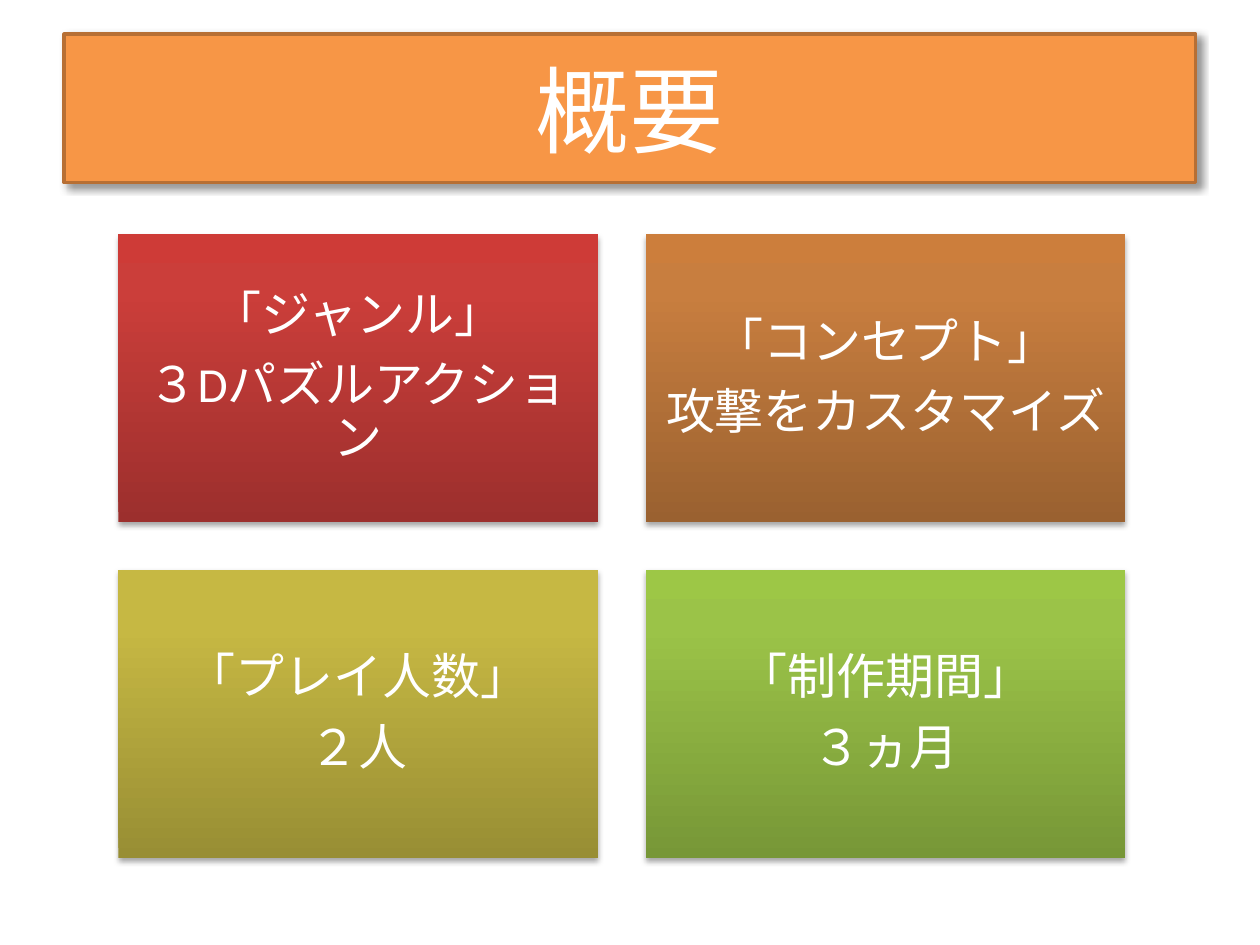
from dataclasses import dataclass

from lxml import etree
from pptx import Presentation
from pptx.dml.color import RGBColor
from pptx.enum import shapes, text
from pptx.oxml import parse_xml
from pptx.oxml.ns import nsdecls, qn
from pptx.util import Inches, Pt


@dataclass(frozen=True)
class Theme:
    """Colours, fonts and type sizes of the slide."""
    white: str = "FFFFFF"
    shadow: str = "000000"
    title_fill: str = "F79646"
    title_line: str = "B76F34"
    red: tuple = ("9C2F2D", "CB3E3A", "CE3B37")
    orange: tuple = ("9A6130", "C87E3F", "CC7E3C")
    yellow: tuple = ("988E34", "C6B843", "C9BB41")
    green: tuple = ("779737", "9BC348", "9DC746")
    latin: str = "Calibri"
    asian: str = "Noto Sans CJK JP"
    title_size: int = 54
    card_size: int = 28


THEME = Theme()
CARDS = [
    (THEME.red, ("「ジャンル」", "３Dパズルアクション")),
    (THEME.orange, ("「コンセプト」", "攻撃をカスタマイズ")),
    (THEME.yellow, ("「プレイ人数」", "２人")),
    (THEME.green, ("「制作期間」", "３ヵ月")),
]


def set_values(obj, values):
    """Set each named attribute on an object."""
    for name, value in values.items():
        setattr(obj, name, value)


def add_shadow(sp, alpha, blur, dist, angle):
    """Give a shape an outer shadow, in percent, points and degrees."""
    sp.shadow.inherit = False
    effects = sp._element.spPr.find(qn("a:effectLst"))
    effects.append(parse_xml(
        f'<a:outerShdw {nsdecls("a")} blurRad="{Pt(blur)}" dist="{Pt(dist)}" '
        f'dir="{angle * 60000}" algn="ctr" rotWithShape="0">'
        f'<a:srgbClr val="{THEME.shadow}"><a:alpha val="{alpha * 1000}"/></a:srgbClr>'
        '</a:outerShdw>'))


def set_gradient(sp, colors):
    """Fill a shape with a three-stop gradient that runs upward."""
    sp.fill.gradient()
    sp.fill.gradient_angle = 90
    stops = sp._element.spPr.find(qn("a:gradFill")).find(qn("a:gsLst"))
    for stop in list(stops):
        stops.remove(stop)
    for pos, color in zip((0, 80, 100), colors):
        stop = etree.SubElement(stops, qn("a:gs"), pos=str(pos * 1000))
        etree.SubElement(stop, qn("a:srgbClr"), val=color)


def write_lines(sp, lines, size, latin, spacing):
    """Write centred white paragraphs into a shape."""
    tf = sp.text_frame
    set_values(tf, {"word_wrap": True, "auto_size": text.MSO_AUTO_SIZE.NONE,
                    "vertical_anchor": text.MSO_ANCHOR.MIDDLE})
    for i, line in enumerate(lines):
        p = tf.add_paragraph() if i else tf.paragraphs[0]
        set_values(p, {"alignment": text.PP_ALIGN.CENTER, **spacing})
        r = p.add_run()
        r.text = line
        set_values(r.font, {"size": Pt(size), "name": latin})
        r.font.color.rgb = RGBColor.from_string(THEME.white)
        r.font._element.find(qn("a:latin")).addnext(
            parse_xml(f'<a:ea {nsdecls("a")} typeface="{THEME.asian}"/>'))


def format_title(sp, title, left, top, width, height):
    """Turn the title placeholder into a rounded banner."""
    set_values(sp, {"left": left, "top": top, "width": width, "height": height})
    sp._element.spPr.append(parse_xml(
        f'<a:prstGeom {nsdecls("a")} prst="roundRect"><a:avLst/></a:prstGeom>'))
    sp.fill.solid()
    sp.fill.fore_color.rgb = RGBColor.from_string(THEME.title_fill)
    sp.line.color.rgb = RGBColor.from_string(THEME.title_line)
    sp.line.width = Pt(2)
    add_shadow(sp, 40, 4, 3, 45)
    write_lines(sp, [title], THEME.title_size, THEME.asian, {})


def add_card(s, colors, lines, left, top, width, height):
    """Add one gradient card with its heading and value."""
    sp = s.shapes.add_shape(shapes.MSO_SHAPE.RECTANGLE, left, top, width, height)
    set_gradient(sp, colors)
    sp.line.fill.background()
    add_shadow(sp, 35, 3.1, 1.8, 90)
    sides = ("left", "top", "right", "bottom")
    set_values(sp.text_frame, {f"margin_{side}": Inches(0.12) for side in sides})
    write_lines(sp, lines, THEME.card_size, THEME.latin,
                {"line_spacing": 0.9, "space_after": Pt(0.35 * THEME.card_size)})


def add_card_grid(s, cards, left, top, width, height, gap, columns=2):
    """Lay cards out in an even grid inside the box."""
    rows = len(cards) // columns
    card_w = (width - gap * (columns - 1)) // columns
    card_h = (height - gap * (rows - 1)) // rows
    for i, (colors, lines) in enumerate(cards):
        row, col = divmod(i, columns)
        add_card(s, colors, lines, left + col * (card_w + gap),
                 top + row * (card_h + gap), card_w, card_h)


def main():
    """Build and save the overview slide."""
    prs = Presentation()
    set_values(prs, {"slide_width": Inches(10), "slide_height": Inches(7.5)})
    s = prs.slides.add_slide(prs.slide_layouts[5])
    format_title(s.shapes.title, "概要",
                 Inches(0.51), Inches(0.27), Inches(8.98), Inches(1.18))
    add_card_grid(s, CARDS, Inches(0.94), Inches(1.86),
                  Inches(7.99), Inches(4.95), Inches(0.38))
    prs.save("out.pptx")


if __name__ == "__main__":
    main()
